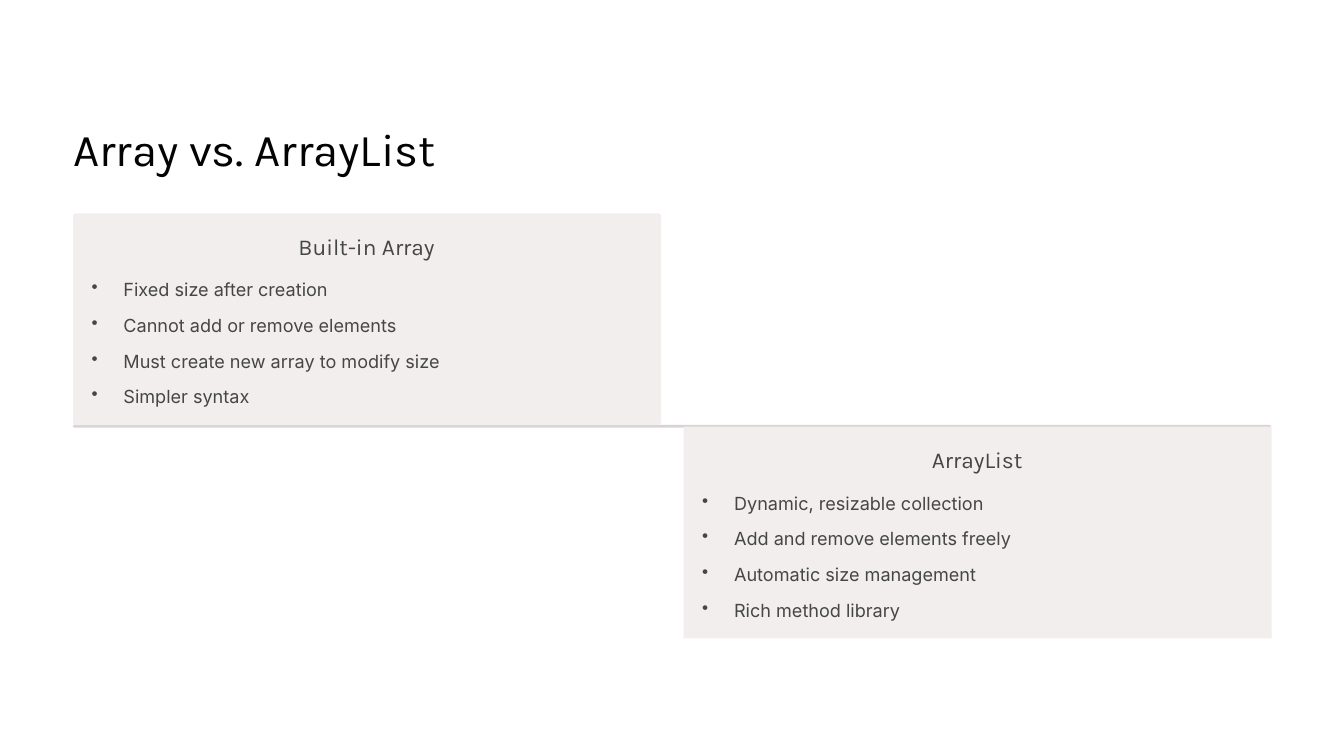
from dataclasses import dataclass

from lxml.etree import SubElement
from pptx import Presentation
from pptx.dml.color import RGBColor
from pptx.enum.shapes import MSO_SHAPE
from pptx.enum.text import PP_ALIGN
from pptx.oxml.ns import qn
from pptx.util import Inches, Pt


@dataclass(frozen=True)
class Theme:
    paper: str = "FFFFFF"
    ink: str = "030303"
    text: str = "464646"
    card: str = "F2EEEE"
    rule: str = "D8D4D4"
    head: str = "Karla"
    body: str = "Inter"
    title: float = 39
    label: float = 19.5
    item: float = 15.5


theme = Theme()

deck = Presentation()
deck.slide_width = Inches(16)
deck.slide_height = Inches(9)
slide = deck.slides.add_slide(deck.slide_layouts[6])
slide.background.fill.solid()
slide.background.fill.fore_color.rgb = RGBColor.from_string(theme.paper)


def add_panel(kind, left, top, width, height, color):
    panel = slide.shapes.add_shape(
        kind, Inches(left), Inches(top), Inches(width), Inches(height))
    panel.shadow.inherit = False
    panel.fill.solid()
    panel.fill.fore_color.rgb = RGBColor.from_string(color)
    panel.line.fill.background()
    return panel


def add_text(lines, left, top, width, height, face, size, color, lead,
             align=PP_ALIGN.LEFT):
    box = slide.shapes.add_textbox(
        Inches(left), Inches(top), Inches(width), Inches(height))
    frame = box.text_frame
    frame.word_wrap = True
    frame.margin_left = frame.margin_right = 0
    frame.margin_top = frame.margin_bottom = 0
    frame.text = "\n".join(lines)
    for para in frame.paragraphs:
        para.alignment = align
        para.line_spacing = Pt(lead)
        para.font.name = face
        para.font.size = Pt(size)
        para.font.color.rgb = RGBColor.from_string(color)
    return frame


add_text(["Array vs. ArrayList"], 0.87, 1.42, 5.43, 0.68,
         theme.head, theme.title, theme.ink, 48.5)

rule = add_panel(MSO_SHAPE.ROUNDED_RECTANGLE, 0.87, 5.06, 14.26, 0.03, theme.rule)
rule.adjustments[0] = 0.5

cards = [
    (MSO_SHAPE.ROUNDED_RECTANGLE, 0.87, 2.54, "Built-in Array", [
        "Fixed size after creation",
        "Cannot add or remove elements",
        "Must create new array to modify size",
        "Simpler syntax",
    ]),
    (MSO_SHAPE.RECTANGLE, 8.14, 5.08, "ArrayList", [
        "Dynamic, resizable collection",
        "Add and remove elements freely",
        "Automatic size management",
        "Rich method library",
    ]),
]

for kind, left, top, label, items in cards:
    card = add_panel(kind, left, top, 7, 2.52, theme.card)
    if kind == MSO_SHAPE.ROUNDED_RECTANGLE:
        card.adjustments[0] = 0.013
    add_text([label], left + 2.14, top + 0.22, 2.71, 0.34,
             theme.head, theme.label, theme.text, 24, PP_ALIGN.CENTER)
    points = add_text(items, left + 0.22, top + 0.69, 6.56, 1.62,
                      theme.body, theme.item, theme.text, 25)
    for para in points.paragraphs:
        para.space_after = Pt(5.5)
        props = para._p.get_or_add_pPr()
        props.set("marL", str(Inches(0.38)))
        props.set("indent", str(Inches(-0.38)))
        mark = SubElement(props, qn("a:buChar"))
        mark.set("char", "•")
        props.remove(mark)
        props.insert_element_before(mark, "a:tabLst", "a:defRPr", "a:extLst")

deck.save("out.pptx")
